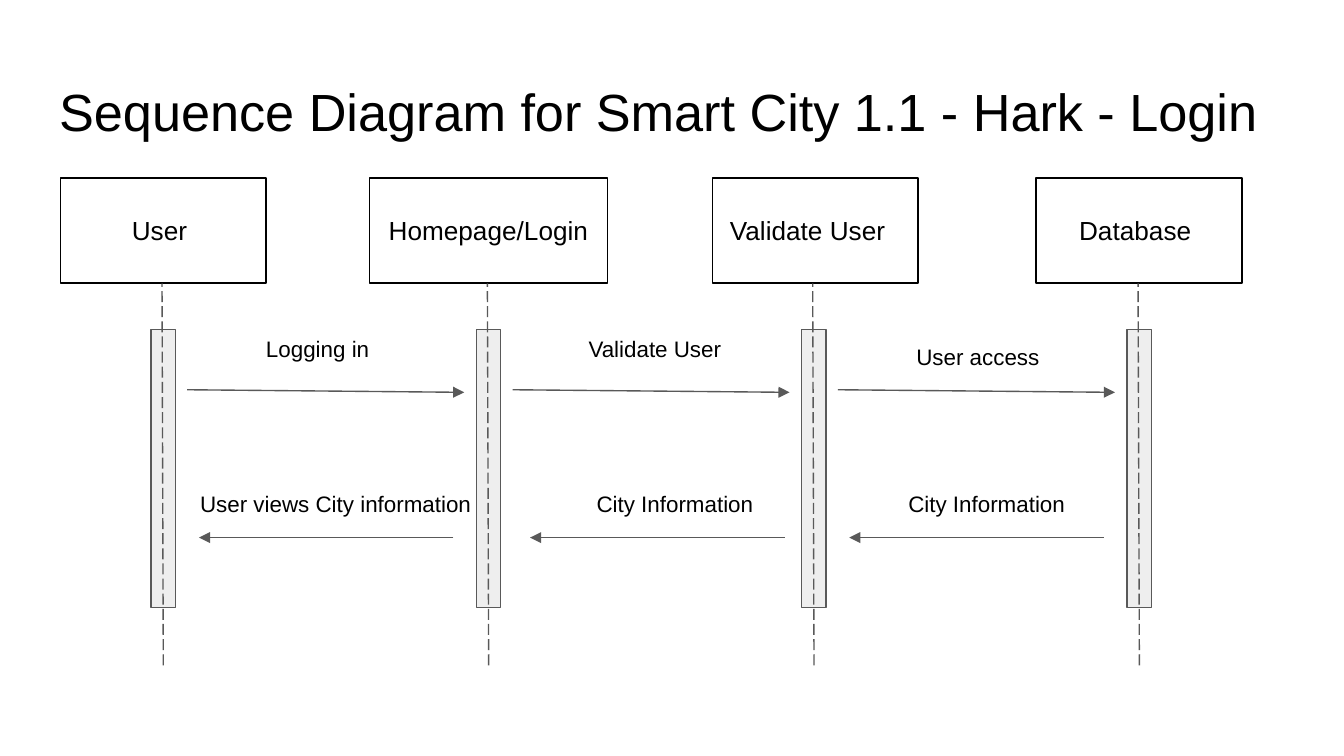
from dataclasses import dataclass

from pptx import Presentation
from pptx.dml.color import RGBColor
from pptx.enum.dml import MSO_LINE
from pptx.enum.shapes import MSO_CONNECTOR, MSO_SHAPE
from pptx.enum.text import MSO_ANCHOR, MSO_AUTO_SIZE, PP_ALIGN
from pptx.oxml.ns import qn
from pptx.slide import Slide
from pptx.util import Pt
from lxml.etree import SubElement

BLACK = RGBColor(0x00, 0x00, 0x00)
GRAY = RGBColor(0x59, 0x59, 0x59)
LIGHT = RGBColor(0xEE, 0xEE, 0xEE)

PITCH = 174.3  # distance between neighbouring lifelines
BAR_LEFT = 80.9
LIFELINE_X = 87.5

# name, left, width, extra right inset
PARTICIPANTS = [
    ("User", 32.4, 110.2, 4),
    ("Homepage/Login", 198, 127.4, 0),
    ("Validate User", 381.6, 110.2, 8),
    ("Database", 555.1, 110.2, 4),
]
# text, left, top, width
LABELS = [
    ("Logging in", 135.4, 172.1, 72.7),
    ("Validate User", 308.2, 172.1, 87.8),
    ("User views City information", 100.1, 255.6, 217.4),
    ("City Information", 312.5, 255.6, 107.3),
    ("City Information", 479.5, 255.6, 101.5),
    ("User access", 483.8, 176.4, 107.3),
]
REPLY_STARTS = [242.9, 420.3, 591.3]
REPLY_LENGTH = 136.3


@dataclass
class Diagram:
    slide: Slide
    font: str = "Arial"
    line_width: float = 0.75
    inset: float = 7.2

    def set_text(self, sp, text, size, align=PP_ALIGN.LEFT,
                 anchor=MSO_ANCHOR.TOP, extra_right=0):
        tf = sp.text_frame
        tf.text = text
        tf.word_wrap = True
        tf.auto_size = MSO_AUTO_SIZE.NONE
        tf.vertical_anchor = anchor
        tf.margin_left = tf.margin_top = tf.margin_bottom = Pt(self.inset)
        tf.margin_right = Pt(self.inset + extra_right)
        p = tf.paragraphs[0]
        p.alignment = align
        font = p.runs[0].font
        font.name, font.size = self.font, Pt(size)
        font.color.rgb = BLACK

    def title(self, text, left, top, width, height):
        sp = self.slide.shapes.title
        sp.left, sp.top = Pt(left), Pt(top)
        sp.width, sp.height = Pt(width), Pt(height)
        self.set_text(sp, text, 28)

    def rect(self, left, top, width, height, line, fill=None):
        sp = self.slide.shapes.add_shape(
            MSO_SHAPE.RECTANGLE, Pt(left), Pt(top), Pt(width), Pt(height))
        sp.shadow.inherit = False
        if fill is None:
            sp.fill.background()
        else:
            sp.fill.solid()
            sp.fill.fore_color.rgb = fill
        sp.line.color.rgb = line
        sp.line.width = Pt(self.line_width)
        return sp

    def participant(self, name, left, width, extra_right):
        sp = self.rect(left, 95.3, width, 56.4, BLACK)
        self.set_text(sp, name, 14, PP_ALIGN.CENTER, MSO_ANCHOR.MIDDLE,
                      extra_right)

    def line(self, x1, y1, x2, y2):
        cx = self.slide.shapes.add_connector(
            MSO_CONNECTOR.STRAIGHT, Pt(x1), Pt(y1), Pt(x2), Pt(y2))
        cx.line.color.rgb = GRAY
        cx.line.width = Pt(self.line_width)
        SubElement(cx._element.spPr, qn("a:effectLst"))
        return cx

    def lifeline(self, x):
        self.line(x, 356.4, x - 0.7, 151.9).line.dash_style = MSO_LINE.LONG_DASH

    def arrow(self, x1, y1, x2, y2):
        ln = self.line(x1, y1, x2, y2).line._get_or_add_ln()
        SubElement(ln, qn("a:tailEnd"), type="triangle")

    def label(self, text, left, top, width):
        sp = self.slide.shapes.add_textbox(Pt(left), Pt(top), Pt(width), Pt(23))
        self.set_text(sp, text, 12)


def main():
    prs = Presentation()
    prs.slide_width, prs.slide_height = Pt(720), Pt(405)
    diagram = Diagram(prs.slides.add_slide(prs.slide_layouts[5]))

    diagram.title("Sequence Diagram for Smart City 1.1 - Hark - Login",
                  24.5, 35.3, 671, 45.4)
    for participant in PARTICIPANTS:
        diagram.participant(*participant)
    offsets = [i * PITCH for i in range(len(PARTICIPANTS))]
    for dx in offsets:
        diagram.rect(BAR_LEFT + dx, 176.4, 13, 149, GRAY, LIGHT)
    for dx in offsets:
        diagram.lifeline(LIFELINE_X + dx)
    for dx in offsets[:-1]:
        diagram.arrow(100.3 + dx, 208.8, 248.7 + dx, 210.2)
    for x in REPLY_STARTS:
        diagram.arrow(x, 288, x - REPLY_LENGTH, 288)
    for label in LABELS:
        diagram.label(*label)

    prs.save("out.pptx")


if __name__ == "__main__":
    main()
